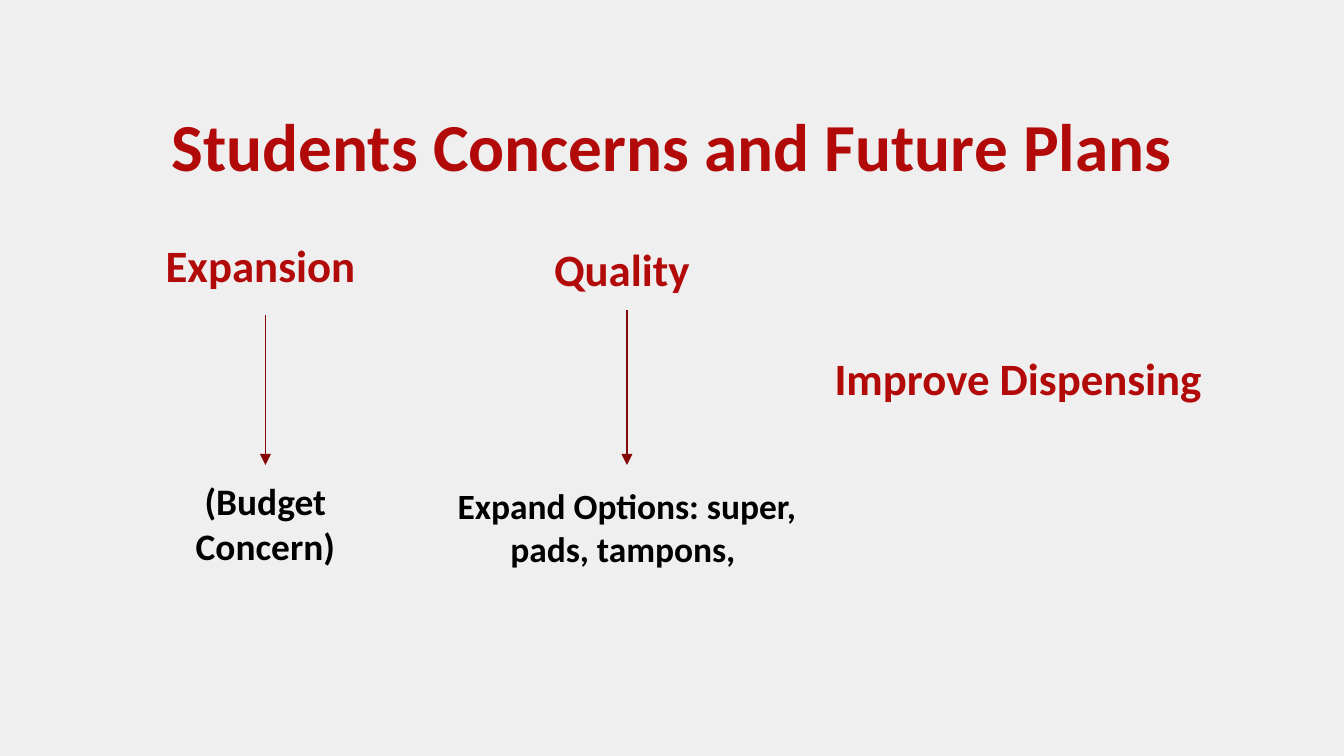
from lxml import etree
from pptx import Presentation
from pptx.dml.color import RGBColor
from pptx.enum.shapes import MSO_CONNECTOR
from pptx.enum.text import MSO_ANCHOR, MSO_AUTO_SIZE, PP_ALIGN
from pptx.oxml.ns import qn
from pptx.util import Pt

STRAIGHT = MSO_CONNECTOR.STRAIGHT
CENTER = PP_ALIGN.CENTER
TOP, MIDDLE = MSO_ANCHOR.TOP, MSO_ANCHOR.MIDDLE
NO_AUTOFIT = MSO_AUTO_SIZE.NONE

BACKGROUND = RGBColor(0xEF, 0xEF, 0xEF)
RED = RGBColor(0xB2, 0x09, 0x09)
DARK_RED = RGBColor(0x85, 0x07, 0x07)
BLACK = RGBColor(0, 0, 0)
TOP_SIDE = 0


def place_text(box, text, bounds, size, color, anchor=MIDDLE):
    box.left, box.top, box.width, box.height = [Pt(value) for value in bounds]
    frame = box.text_frame
    frame.word_wrap = True
    frame.auto_size = NO_AUTOFIT
    frame.vertical_anchor = anchor
    frame.margin_left = frame.margin_right = Pt(7.2)
    frame.margin_top = frame.margin_bottom = Pt(7.2)
    para = frame.paragraphs[0]
    para.alignment = CENTER
    span = para.add_run()
    span.text = text
    span.font.name = "Calibri"
    span.font.size = Pt(size)
    span.font.bold = True
    span.font.color.rgb = color


deck = Presentation()
deck.slide_width, deck.slide_height = Pt(720), Pt(405)
page = deck.slides.add_slide(deck.slide_layouts[5])
page.background.fill.solid()
page.background.fill.fore_color.rgb = BACKGROUND

# Title
place_text(page.shapes.title, "Students Concerns and Future Plans",
           (24.5, 44.6, 671, 66.2), 36, RED)

# Concern headings; the trailing spaces count in the centring
headings = [
    ("Expansion ", (31, 114.5, 222.5, 54.7)),
    ("Quality ", (224.6, 110.9, 222.5, 66.2)),
    ("Improve Dispensing", (414, 169.2, 262.8, 66.2)),
]
for text, bounds in headings:
    place_text(page.shapes.add_textbox(0, 0, 0, 0), text, bounds, 24, RED)

# Plans, each with an arrow coming down from its heading
plans = [
    ("(Budget Concern)", (74.2, 249.1, 136, 66.2), 20, TOP, 168.8),
    ("Expand Options: super, pads, tampons, ",
     (224.6, 249.1, 222.5, 66.2), 19, MIDDLE, 166.3),
]
for text, bounds, size, anchor, arrow_top in plans:
    box = page.shapes.add_textbox(0, 0, 0, 0)
    place_text(box, text, bounds, size, BLACK, anchor)

    middle = box.left + box.width // 2
    arrow = page.shapes.add_connector(STRAIGHT, middle, Pt(arrow_top), middle, box.top)
    arrow.end_connect(box, TOP_SIDE)
    arrow.line.color.rgb = DARK_RED
    arrow.line.width = Pt(0.75)
    etree.SubElement(arrow.line._get_or_add_ln(), qn("a:tailEnd"), type="triangle")
    etree.SubElement(arrow._element.spPr, qn("a:effectLst"))

deck.save("out.pptx")
